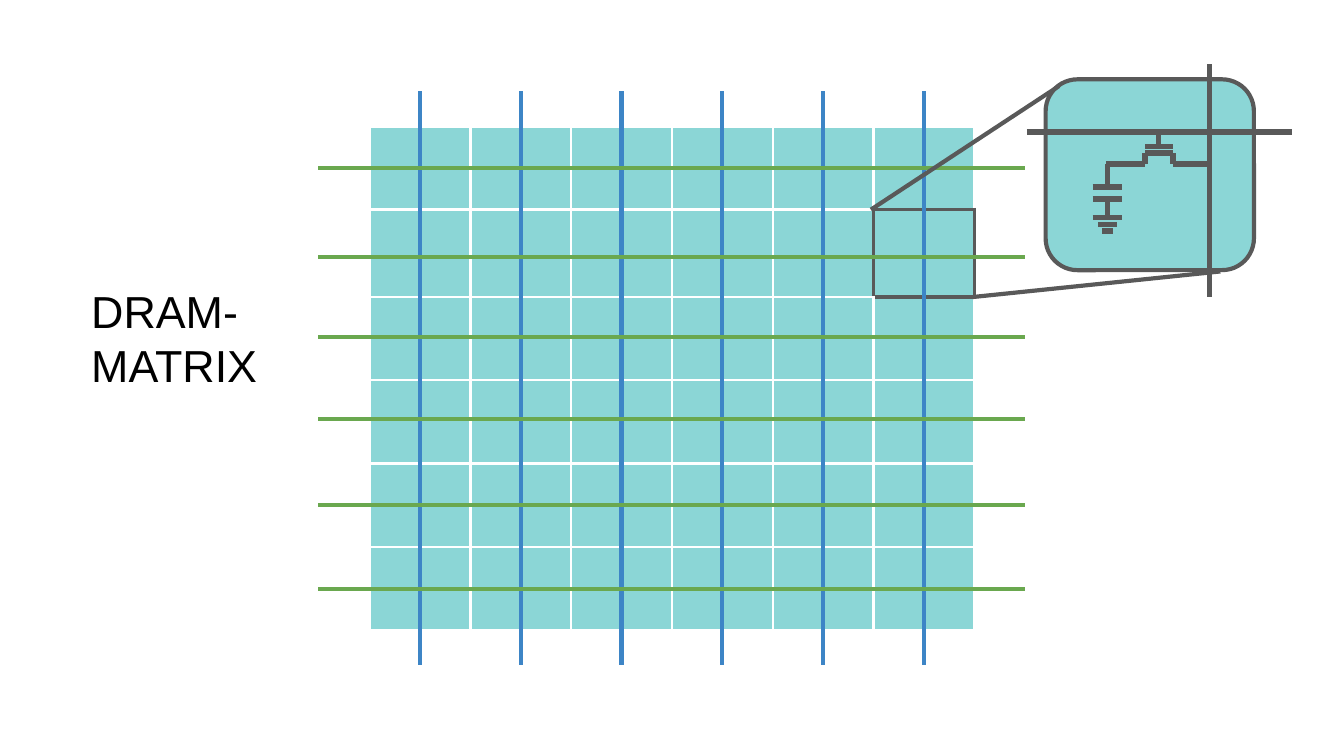
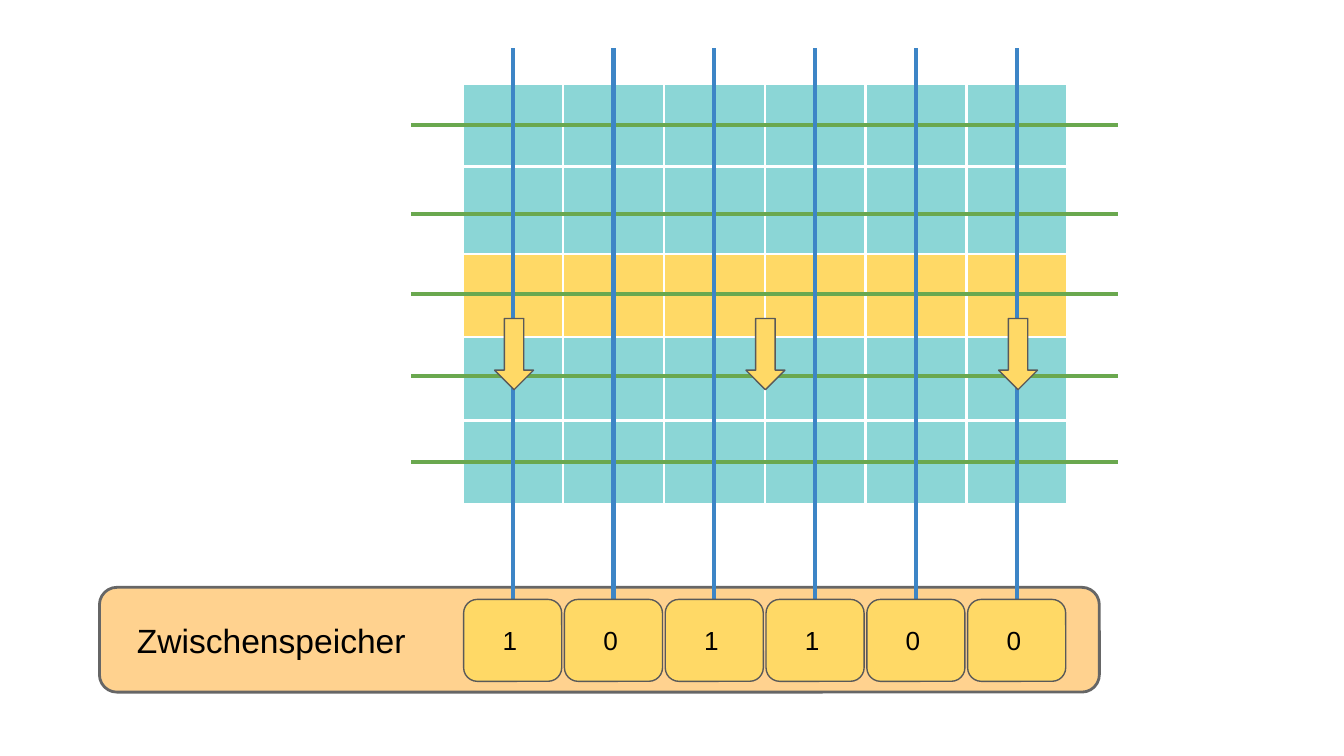
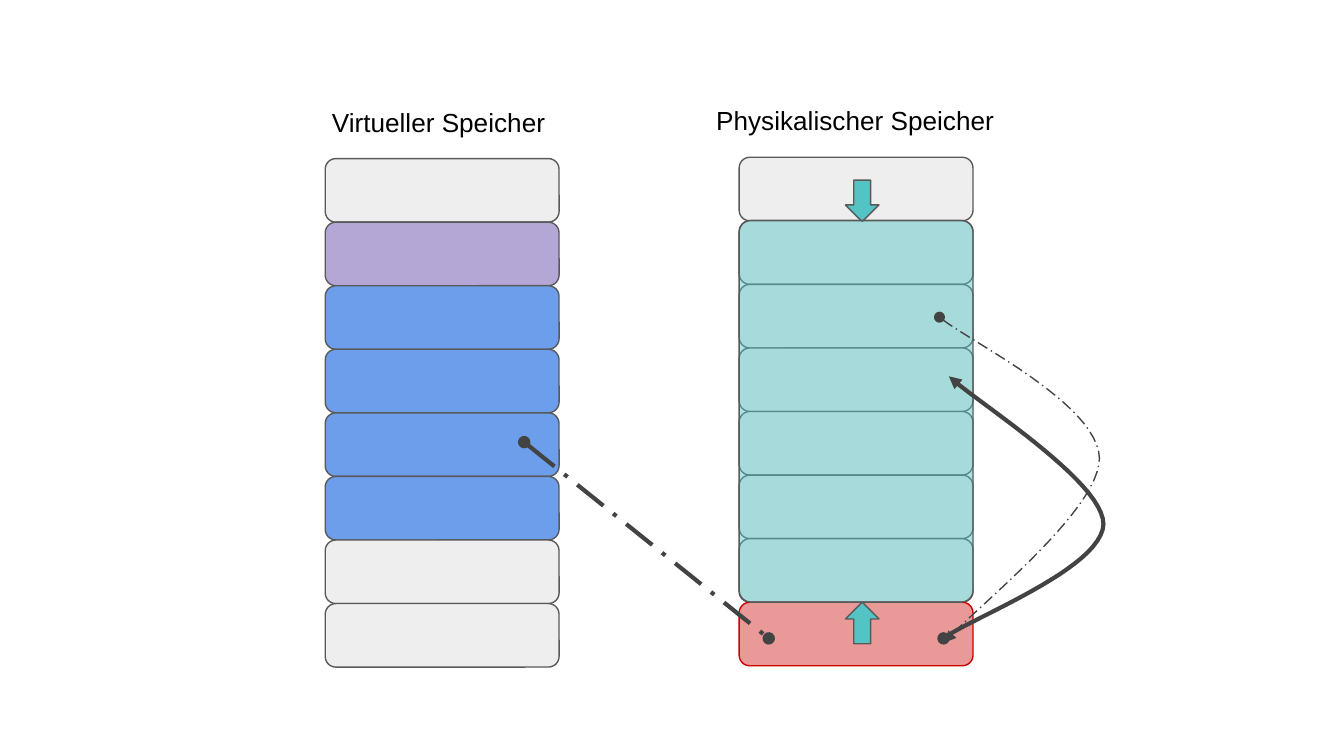
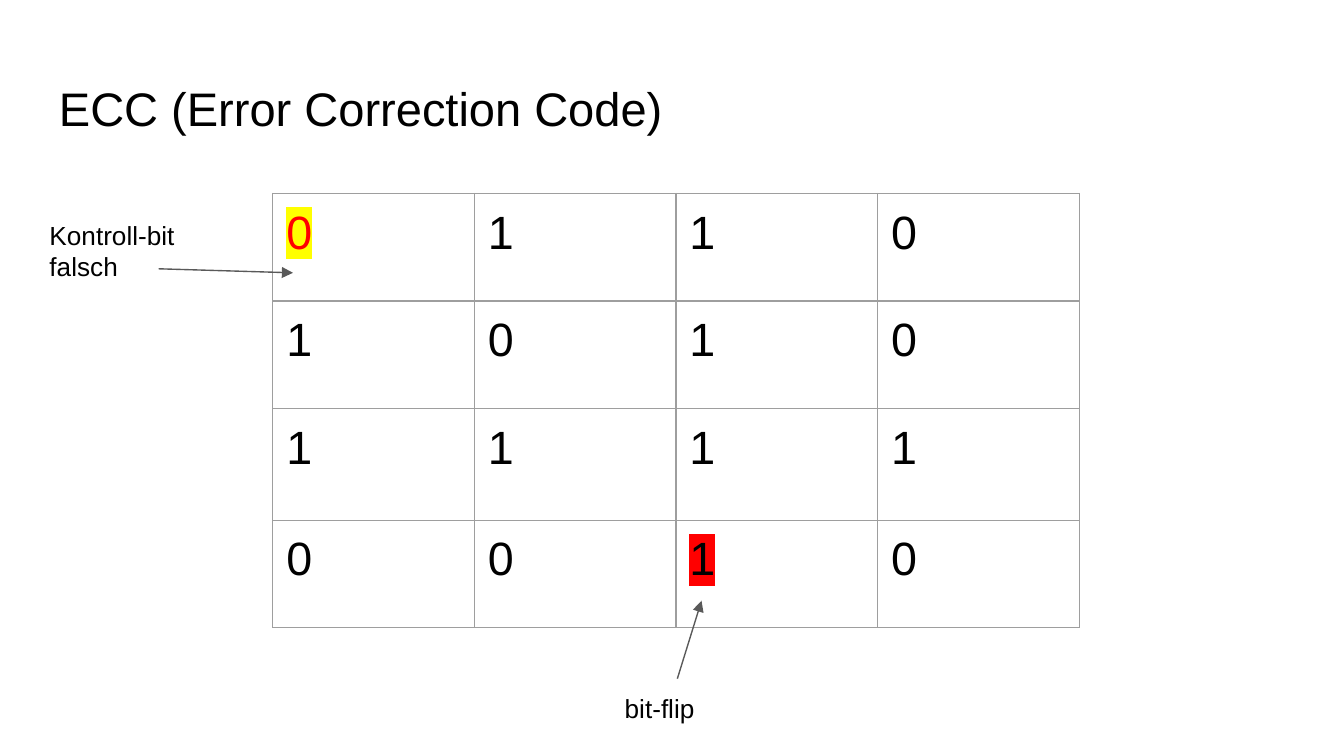
"""Build four slides on DRAM, paging and error correction."""
from dataclasses import dataclass
from typing import Iterable, Optional

from lxml.etree import SubElement
from pptx import Presentation
from pptx.dml.color import RGBColor
from pptx.enum.dml import MSO_LINE
from pptx.enum.shapes import MSO_CONNECTOR, MSO_SHAPE
from pptx.enum.text import MSO_ANCHOR, MSO_AUTO_SIZE, PP_ALIGN
from pptx.oxml.ns import qn
from pptx.oxml.xmlchemy import BaseOxmlElement
from pptx.slide import Slide
from pptx.text.text import TextFrame
from pptx.util import Emu, Inches, Pt


@dataclass(frozen=True)
class Theme:
    """Colours, font and type sizes shared by all slides."""
    font: str = "Arial"
    title: float = 25.2
    digit: float = 25
    heading: float = 24
    name: float = 18
    body: float = 14
    ink: str = "000000"
    paper: str = "FFFFFF"
    outline: str = "595959"
    pointer: str = "434343"
    teal: str = "53C3C3"
    bit_line: str = "3D85C6"
    word_line: str = "6AA84F"
    active: str = "FFD966"
    buffer: str = "FF9900"
    buffer_outline: str = "666666"
    free_page: str = "EEEEEE"
    page: str = "EFEFEF"
    purple_page: str = "B4A7D6"
    blue_page: str = "6D9EEB"
    swapped_page: str = "EA9999"
    swapped_outline: str = "CC0000"
    rule: str = "9E9E9E"
    alert: str = "FF0000"
    marker: str = "FFFF00"


THEME = Theme()
GRID_COLUMNS = 100
GRID_ROWS = 56.25
MODULE = Inches(10) / GRID_COLUMNS
INSET = 1
SIDES = {"a:lnL": (0, -1), "a:lnR": (0, 1), "a:lnT": (-1, 0), "a:lnB": (1, 0)}
MATRIX_COLUMNS = 6
MATRIX_ROWS = (6.2, 6.5, 6.2, 6.2, 6.2, 6.2)
MATRIX_PITCH = 7.5
WORD_LINE_OFFSETS = (3.1, 9.7, 15.7, 21.8, 28.2, 34.4)
PAGE_WIDTH = 17.4
PAGE_HEIGHT = 4.73
TINT = 67

Point = tuple[float, float]


def span(modules: float) -> Emu:
    """Turn grid modules into a length."""
    return Emu(round(modules * MODULE))


def rgb(code: str) -> RGBColor:
    """Turn a hex code into a colour."""
    return RGBColor.from_string(code)


@dataclass(frozen=True)
class Wire:
    """A straight line between two grid points."""
    start: Point
    end: Point
    color: str = THEME.outline
    width: float = 2.25
    dash: Optional[MSO_LINE] = None
    head: Optional[str] = None
    tail: Optional[str] = None


@dataclass(frozen=True)
class Curve:
    """Two cubic segments, given as seven grid points."""
    points: tuple[Point, ...]
    width: float
    dash: Optional[MSO_LINE] = None


@dataclass(frozen=True)
class Block:
    """A filled preset shape on the grid."""
    left: float
    top: float
    width: float
    height: float
    fill: str
    preset: MSO_SHAPE = MSO_SHAPE.ROUNDED_RECTANGLE
    opacity: int = 100
    outline: str = THEME.outline
    weight: float = 0.75
    corner: Optional[float] = None
    rotation: int = 0
    text: str = ""


@dataclass(frozen=True)
class Label:
    """A text box on the grid."""
    left: float
    top: float
    width: float
    height: float
    text: str
    size: float = THEME.body
    grows: bool = True


@dataclass(frozen=True)
class Matrix:
    """A memory matrix with an optional active row and marked cell."""
    left: float
    top: float
    word_lines: int
    active_row: Optional[int] = None
    marked: Optional[tuple[int, int]] = None


def set_opacity(element: BaseOxmlElement, percent: int) -> None:
    """Make the first colour inside an element translucent."""
    if percent < 100:
        color = next(element.iter(qn("a:srgbClr")))
        SubElement(color, qn("a:alpha"), val=str(percent * 1000))


def add_ends(element: BaseOxmlElement, head: Optional[str], tail: Optional[str]) -> None:
    """Put arrowheads on a line."""
    line = next(element.iter(qn("a:ln")))
    for tag, kind in (("a:headEnd", head), ("a:tailEnd", tail)):
        if kind:
            SubElement(line, qn(tag), type=kind)


def style_text(frame: TextFrame, size: float, color: str = THEME.ink) -> None:
    """Format all runs and the insets of a text frame."""
    frame.word_wrap = True
    frame.margin_left = frame.margin_right = span(INSET)
    frame.margin_top = frame.margin_bottom = span(INSET)
    for paragraph in frame.paragraphs:
        paragraph.alignment = PP_ALIGN.LEFT
        for run in paragraph.runs:
            run.font.name = THEME.font
            run.font.size = Pt(size)
            run.font.color.rgb = rgb(color)


def draw_wires(slide: Slide, wires: Iterable[Wire]) -> None:
    """Draw straight lines."""
    for wire in wires:
        connector = slide.shapes.add_connector(
            MSO_CONNECTOR.STRAIGHT, *map(span, wire.start + wire.end))
        connector.line.color.rgb = rgb(wire.color)
        connector.line.width = Pt(wire.width)
        if wire.dash:
            connector.line.dash_style = wire.dash
        add_ends(connector.element, wire.head, wire.tail)
        SubElement(connector.element.find(qn("p:spPr")), qn("a:effectLst"))


def draw_blocks(slide: Slide, blocks: Iterable[Block]) -> None:
    """Draw filled shapes."""
    for block in blocks:
        shape = slide.shapes.add_shape(
            block.preset,
            *map(span, (block.left, block.top, block.width, block.height)))
        shape.shadow.inherit = False
        shape.rotation = block.rotation
        shape.fill.solid()
        shape.fill.fore_color.rgb = rgb(block.fill)
        set_opacity(shape.element, block.opacity)
        shape.line.color.rgb = rgb(block.outline)
        shape.line.width = Pt(block.weight)
        if block.corner is not None:
            shape.adjustments[0] = block.corner
        if block.text:
            shape.text_frame.text = block.text
            style_text(shape.text_frame, THEME.body)
            shape.text_frame.margin_left = span(2.6 * INSET)
            shape.text_frame.vertical_anchor = MSO_ANCHOR.MIDDLE


def draw_labels(slide: Slide, labels: Iterable[Label]) -> None:
    """Draw text boxes."""
    for label in labels:
        box = slide.shapes.add_textbox(
            *map(span, (label.left, label.top, label.width, label.height)))
        box.text_frame.text = label.text
        style_text(box.text_frame, label.size)
        if label.grows:
            box.text_frame.auto_size = MSO_AUTO_SIZE.SHAPE_TO_FIT_TEXT


def bezier(controls: tuple[Point, ...], share: float) -> Point:
    """Find the point at a share of a cubic segment."""
    rest = 1 - share
    weights = (rest ** 3, 3 * rest ** 2 * share, 3 * rest * share ** 2, share ** 3)
    return (sum(w * x for w, (x, _) in zip(weights, controls)),
            sum(w * y for w, (_, y) in zip(weights, controls)))


def draw_curve(slide: Slide, curve: Curve, steps: int = 24) -> None:
    """Draw a curved pointer."""
    trail = [bezier(curve.points[first:first + 4], step / steps)
             for first in (0, 3) for step in range(1, steps + 1)]
    builder = slide.shapes.build_freeform(*map(span, curve.points[0]))
    builder.add_line_segments([(span(x), span(y)) for x, y in trail], close=False)
    pointer = builder.convert_to_shape()
    pointer.shadow.inherit = False
    pointer.fill.background()
    pointer.line.color.rgb = rgb(THEME.pointer)
    pointer.line.width = Pt(curve.width)
    if curve.dash:
        pointer.line.dash_style = curve.dash
    add_ends(pointer.element, "oval", "triangle")


def draw_border(tc: BaseOxmlElement, position: int, side: str,
                color: str, width: float) -> None:
    """Draw one side of a table cell."""
    properties = tc.find(qn("a:tcPr"))
    line = SubElement(properties, qn(side), w=str(Pt(width)))
    SubElement(SubElement(line, qn("a:solidFill")), qn("a:srgbClr"), val=color)
    properties.insert(position, line)


def add_grid_table(slide: Slide, left: float, top: float, column_width: float,
                   column_count: int, row_heights: tuple[float, ...]) -> list:
    """Add a plain table and list its cells with their places and elements."""
    frame = slide.shapes.add_table(
        len(row_heights), column_count,
        *map(span, (left, top, column_width * column_count, sum(row_heights))))
    table = frame.table
    table.first_row = table.horz_banding = False
    for column in table.columns:
        column.width = span(column_width)
    for row, height in zip(table.rows, row_heights):
        row.height = span(height)
    elements = frame.element.iter(qn("a:tc"))
    return [(divmod(index, column_count), cell, tc)
            for index, (cell, tc) in enumerate(zip(table.iter_cells(), elements))]


def draw_matrix(slide: Slide, matrix: Matrix) -> None:
    """Draw the cells of a memory matrix."""
    cells = add_grid_table(slide, matrix.left, matrix.top, MATRIX_PITCH,
                           MATRIX_COLUMNS, MATRIX_ROWS)
    for (row, column), cell, tc in cells:
        cell.fill.solid()
        if row == matrix.active_row:
            cell.fill.fore_color.rgb = rgb(THEME.active)
        elif row >= matrix.word_lines:
            cell.fill.fore_color.rgb = rgb(THEME.paper)
        else:
            cell.fill.fore_color.rgb = rgb(THEME.teal)
            set_opacity(tc, TINT)
        for position, (side, (down, right)) in enumerate(SIDES.items()):
            if matrix.marked in ((row, column), (row + down, column + right)):
                draw_border(tc, position, side, THEME.outline, 2.25)
            else:
                draw_border(tc, position, side, THEME.paper, 1.5)


def bit_lines(matrix: Matrix) -> list[Wire]:
    """List the vertical lines through the matrix columns."""
    centres = [matrix.left + MATRIX_PITCH * (column + 0.5)
               for column in range(MATRIX_COLUMNS)]
    return [Wire((x, matrix.top - 2.6), (x, matrix.top + 40.1), THEME.bit_line)
            for x in centres]


def word_lines(matrix: Matrix) -> list[Wire]:
    """List the horizontal lines through the matrix rows."""
    return [Wire((matrix.left - 3.8, matrix.top + offset),
                 (matrix.left + 48.8, matrix.top + offset), THEME.word_line)
            for offset in WORD_LINE_OFFSETS[:matrix.word_lines]]


def build_dram_matrix(slide: Slide) -> None:
    """Show the matrix with one cell enlarged."""
    matrix = Matrix(27.5, 9.4, word_lines=6, marked=(1, 5))
    draw_blocks(slide, [Block(77.8, 5.9, 15.5, 14.2, THEME.teal,
                              opacity=TINT, weight=2.25)])
    draw_matrix(slide, matrix)
    draw_wires(slide, bit_lines(matrix) + word_lines(matrix))
    draw_labels(slide, [Label(5.8, 20.1, 16.5, 10.1, "DRAM-\nMATRIX", THEME.heading)])
    cell_circuit = (
        ((76.4, 9.8), (96.1, 9.8)),
        ((90, 4.8), (90, 22.1)),
        ((81.3, 13.9), (83.5, 13.9)),
        ((81.3, 14.8), (83.5, 14.8)),
        ((85.2, 11.4), (87.3, 11.4)),
        ((85.2, 10.9), (87.3, 10.9)),
        ((86.2, 10.9), (86.2, 9.8)),
        ((87.3, 11.4), (87.3, 12.2)),
        ((85.2, 11.4), (85.2, 12.2)),
        ((87.3, 12.2), (90.2, 12.2)),
        ((82.3, 12.2), (85.2, 12.2)),
        ((81.3, 16.2), (83.5, 16.2)),
        ((82.4, 12.2), (82.4, 13.8)),
        ((82.4, 14.8), (82.4, 16.2)),
        ((81.7, 16.7), (83.1, 16.7)),
        ((82, 17.2), (82.8, 17.2)),
    )
    draw_wires(slide, [Wire(start, end, width=3) for start, end in cell_circuit])
    draw_wires(slide, [Wire((64.8, 15.6), (78.8, 6.4)),
                       Wire((72.4, 22.1), (90.8, 20.2))])


def build_row_buffer(slide: Slide) -> None:
    """Show a row being read into the buffer."""
    matrix = Matrix(34.4, 6.2, word_lines=5, active_row=2)
    left_arrow, middle_arrow, right_arrow = (
        Block(left, 23.7, 2.9, 5.3, THEME.active, MSO_SHAPE.DOWN_ARROW)
        for left in (36.8, 55.5, 74.3))
    draw_matrix(slide, matrix)
    draw_wires(slide, word_lines(matrix))
    draw_blocks(slide, [
        middle_arrow,
        Block(7.4, 43.7, 74.4, 7.8, THEME.buffer, opacity=44,
              outline=THEME.buffer_outline, weight=1.5),
    ])
    draw_wires(slide, bit_lines(matrix))
    draw_blocks(slide, [
        Block(34.5 + MATRIX_PITCH * column, 44.6, 7.3, 6.1, THEME.active, text=bit)
        for column, bit in enumerate("101100")])
    draw_labels(slide, [Label(9.2, 45.1, 22.5, 5, "Zwischenspeicher", THEME.name)])
    draw_blocks(slide, [left_arrow, right_arrow])


def page_stack(left: float, top: float, fills: Iterable[str]) -> list[Block]:
    """Stack memory pages from the top down."""
    return [Block(left, top + PAGE_HEIGHT * row, PAGE_WIDTH, PAGE_HEIGHT, fill,
                  outline=(THEME.swapped_outline if fill == THEME.swapped_page
                           else THEME.outline))
            for row, fill in enumerate(fills)]


def build_paging(slide: Slide) -> None:
    """Show virtual pages mapped to physical memory."""
    virtual = ([THEME.free_page, THEME.purple_page]
               + [THEME.blue_page] * 4 + [THEME.free_page] * 2)
    physical = [THEME.free_page] + [THEME.page] * 6 + [THEME.swapped_page]
    draw_blocks(slide, page_stack(24.2, 11.8, virtual) + page_stack(55, 11.7, physical))
    draw_labels(slide, [Label(23.7, 6.9, 18.5, 4.4, "Virtueller Speicher"),
                        Label(52.3, 6.8, 22.9, 4.4, "Physikalischer Speicher")])
    draw_wires(slide, [Wire((39, 32.9), (57.2, 47.5), THEME.pointer,
                            dash=MSO_LINE.LONG_DASH_DOT, head="oval", tail="oval")])
    draw_blocks(slide, [
        Block(62.9, top, 2.5, 3.1, THEME.teal, MSO_SHAPE.DOWN_ARROW, rotation=turn)
        for top, turn in ((13.4, 0), (44.8, 180))])
    draw_blocks(slide, [Block(55, 16.4, PAGE_WIDTH, 28.4, THEME.teal,
                              opacity=46, corner=0.05)])
    draw_curve(slide, Curve(((70.2, 47.5), (72.2, 46), (82, 42.3), (82.1, 39),
                             (82.1, 35.8), (72.5, 29.8), (70.6, 28)), 2.25))
    draw_curve(slide, Curve(((69.9, 23.6), (71.9, 25.3), (81.7, 30), (81.8, 34.1),
                             (81.8, 38.1), (72.2, 45.5), (70.3, 47.8)), 0.75,
                            MSO_LINE.LONG_DASH_DOT))


def build_error_correction(slide: Slide) -> None:
    """Show a bit table with a flipped bit and its wrong check bit."""
    bits = ("0110", "1010", "1111", "0010")
    highlights = {(0, 0): THEME.marker, (3, 2): THEME.alert}
    draw_labels(slide, [Label(3.4, 4.9, 93.2, 6.3, "ECC (Error Correction Code)",
                              THEME.title, grows=False)])
    cells = add_grid_table(slide, 20.3, 14.4, 15, 4, (8, 8, 8.3, 8))
    for (row, column), cell, tc in cells:
        place = (row, column)
        cell.fill.background()
        cell.text_frame.text = bits[row][column]
        style_text(cell.text_frame, THEME.digit,
                   THEME.alert if place == (0, 0) else THEME.ink)
        cell.margin_left = cell.margin_right = span(INSET)
        cell.margin_top = cell.margin_bottom = span(INSET)
        if place in highlights:
            run_fill = next(tc.iter(qn("a:rPr"))).find(qn("a:solidFill"))
            highlight = SubElement(run_fill.getparent(), qn("a:highlight"))
            SubElement(highlight, qn("a:srgbClr"), val=highlights[place])
            run_fill.addnext(highlight)
        for position, side in enumerate(SIDES):
            draw_border(tc, position, side, THEME.rule, 0.75)
    draw_labels(slide, [Label(45.5, 50.5, 9.7, 4.4, "bit-flip"),
                        Label(2.7, 15.3, 12, 6.7, "Kontroll-bit\nfalsch")])
    draw_wires(slide, [
        Wire(start, end, width=0.75, tail="triangle")
        for start, end in (((50.4, 50.5), (52.2, 44.7)), ((11.8, 20), (21.8, 20.3)))])


def main() -> None:
    """Build and save the presentation."""
    deck = Presentation()
    deck.slide_width = span(GRID_COLUMNS)
    deck.slide_height = span(GRID_ROWS)
    for build in (build_dram_matrix, build_row_buffer, build_paging,
                  build_error_correction):
        build(deck.slides.add_slide(deck.slide_layouts[6]))
    deck.save("out.pptx")


if __name__ == "__main__":
    main()
